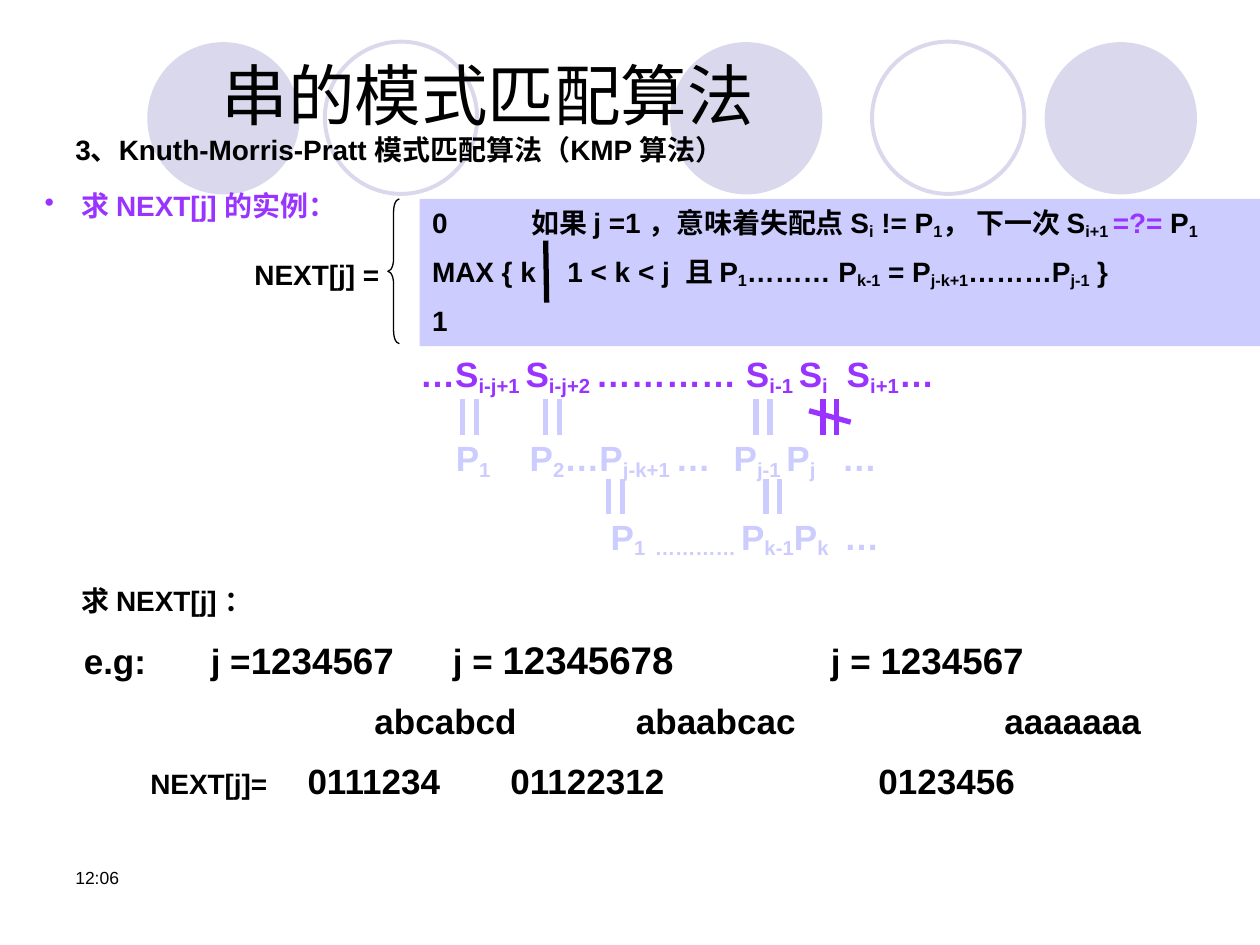
from lxml.etree import SubElement
from pptx import Presentation
from pptx.dml.color import RGBColor as Rgb
from pptx.enum.shapes import MSO_CONNECTOR as Link, MSO_SHAPE as Preset
from pptx.enum.text import MSO_ANCHOR as Anchor
from pptx.oxml.ns import qn
from pptx.util import Cm, Pt

COLOURS = {"ink": "000000", "violet": "9933FF", "lilac": "CCCCFF", "mist": "D9D8EC"}


class SlideWriter:
    """Draws styled elements on the current page; text between tildes is subscript."""

    font = "Arial"

    def __init__(self, page):
        self.page = page

    def colour(self, name):
        return Rgb.from_string(COLOURS[name])

    def shape(self, preset, area, fill=None, line=None, width=2.25):
        shape = self.page.shapes.add_shape(preset, *map(Cm, area))
        shape.shadow.inherit = False
        if fill:
            shape.fill.solid()
            shape.fill.fore_color.rgb = self.colour(fill)
        else:
            shape.fill.background()
        if line:
            shape.line.color.rgb = self.colour(line)
            shape.line.width = Pt(width)
        else:
            shape.line.fill.background()
        return shape

    def line(self, start, end, colour):
        line = self.page.shapes.add_connector(Link.STRAIGHT, *map(Cm, start + end))
        line.line.color.rgb = self.colour(colour)
        line.line.width = Pt(3)
        SubElement(line._element.spPr, qn("a:effectLst"))

    def equal_sign(self, left, top, colour="lilac"):
        for x in (left, left + 0.28):
            self.line((x, top), (x, top + 0.71), colour)

    def box(self, area, fill=None, anchor=Anchor.TOP):
        box = self.page.shapes.add_textbox(*map(Cm, area))
        box.text_frame.word_wrap = True
        box.text_frame.vertical_anchor = anchor
        if fill:
            box.fill.solid()
            box.fill.fore_color.rgb = self.colour(fill)
        return box.text_frame

    def para(self, frame, parts, size=16, colour="ink", bold=True, before=50,
             spacing=None, indent=0, bullet=None, tabs=()):
        para = frame.paragraphs[0]
        if para.runs:
            para = frame.add_paragraph()
        if spacing:
            para.line_spacing = spacing
        props = para._p.get_or_add_pPr()
        if indent:
            props.set("marL", str(Cm(indent)))
            props.set("indent", str(Cm(-0.75 if bullet else 0)))
        gap = SubElement(props, qn("a:spcBef"))
        SubElement(gap, qn("a:spcPct"), val=str(before * 1000))
        if bullet:
            SubElement(props, qn("a:buChar"), char=bullet)
        if tabs:
            stops = SubElement(props, qn("a:tabLst"))
            for stop in tabs:
                SubElement(stops, qn("a:tab"), pos=str(Cm(stop)), algn="l")
        if isinstance(parts, str):
            parts = [(parts, {})]
        for markup, change in parts:
            style = {"size": size, "colour": colour} | change
            for index, text in enumerate(markup.split("~")):
                if text:
                    self.span(para, text, bold, index % 2 == 1, **style)

    def span(self, para, text, bold, subscript, size, colour):
        span = para.add_run()
        span.text = text
        span.font.name = self.font
        span.font.size = Pt(size)
        span.font.bold = bold
        span.font.color.rgb = self.colour(colour)
        if subscript:
            span.font._element.set("baseline", "-15000")


def main():
    deck = Presentation()
    deck.slide_width, deck.slide_height = Cm(25.4), Cm(19.05)
    writer = SlideWriter(deck.slides.add_slide(deck.slide_layouts[6]))

    for left in (2.97, 13.51, 21.06):
        writer.shape(Preset.OVAL, (left, 0.85, 3.07, 3.07), fill="mist")
    for left in (6.55, 17.58):
        writer.shape(Preset.OVAL, (left, 0.84, 3.07, 3.07), line="mist")

    title = writer.box((4.22, 0.91, 18.64, 1.98), anchor=Anchor.MIDDLE)
    writer.para(title, "串的模式匹配算法", size=38, bold=False, before=0)
    heading = writer.box((0, 2.54, 15.88, 0.94))
    writer.para(heading, "3、Knuth-Morris-Pratt 模式匹配算法（KMP 算法）", indent=1.27)
    example = writer.box((0, 3.68, 24.13, 0.94))
    writer.para(example, "求 NEXT[j] 的实例：", colour="violet", indent=1.4, bullet="•")

    formula = writer.box((8.46, 4.01, 16.94, 2.97), fill="lilac")
    writer.para(formula, [
        ("0\t如果 j =1 ，意味着失配点 S~i~ != P~1~， 下一次 S~i+1 ~", {}),
        ("=?=", {"colour": "violet"}),
        (" P~1~", {}),
    ], tabs=(2,))
    writer.para(formula, "MAX { k\t1 < k < j\t且 P~1~……… P~k-1~ = P~j-k+1~………P~j-1~ }",
                tabs=(2.73, 5.1))
    writer.para(formula, "1")
    label = writer.box((4.88, 5.07, 3.23, 0.94))
    writer.para(label, "NEXT[j] =")
    brace = writer.shape(Preset.LEFT_BRACE, (7.82, 4.01, 0.23, 2.92), line="ink", width=0.75)
    brace.adjustments[0] = 1.12
    writer.line((11, 4.85), (11.02, 6.1), "ink")

    match = writer.box((7.62, 6.99, 15.67, 2.72))
    writer.para(match, "\t…S~i-j+1 ~S~i-j+2 ~………… S~i-1 ~S~i~\tS~i+1~…",
                size=20, colour="violet", tabs=(0.6, 9.2))
    writer.para(match, "\tP~1~\tP~2~…P~j-k+1 ~…\tP~j-1 ~P~j~\t…",
                size=20, colour="lilac", spacing=1.5, tabs=(1.32, 2.81, 6.92, 9.1))
    shifted = writer.box((9.32, 9.73, 10.64, 1.6))
    writer.para(shifted, "\tP~1\t…………~\tP~k-1~P~k~\t…",
                size=20, colour="lilac", spacing=1.6, tabs=(2.74, 3.63, 5.37, 7.45))
    for left in (9.32, 11, 15.24):
        writer.equal_sign(left, 8.05)
    for left in (12.27, 15.44):
        writer.equal_sign(left, 9.65)
    writer.equal_sign(16.59, 8.05, "violet")
    writer.line((16.31, 8.28), (17.15, 8.51), "violet")

    results = writer.box((0, 11.63, 24.13, 4.88))
    writer.para(results, "求 NEXT[j] ：", indent=1.4)
    writer.para(results, [
        ("\te.g:\tj =", {}),
        ("1234567", {"size": 21}),
        ("\tj = ", {}),
        ("12345678", {"size": 22}),
        ("\tj = ", {}),
        ("1234567", {"size": 21}),
    ], size=20, tabs=(1.44, 4, 8.88, 16.5))
    writer.para(results, "\tabcabcd\tabaabcac\taaaaaaa", size=20, tabs=(7.3, 12.57, 20))
    writer.para(results, [
        ("\tNEXT[j]=", {"size": 16}),
        ("\t0111234\t01122312\t0123456", {}),
    ], size=20, tabs=(2.78, 5.95, 10.04, 17.46))

    clock = writer.box((1.27, 17.35, 5.92, 1.27))
    writer.para(clock, "12:06", size=10, bold=False, before=0)
    deck.save("out.pptx")


if __name__ == "__main__":
    main()
